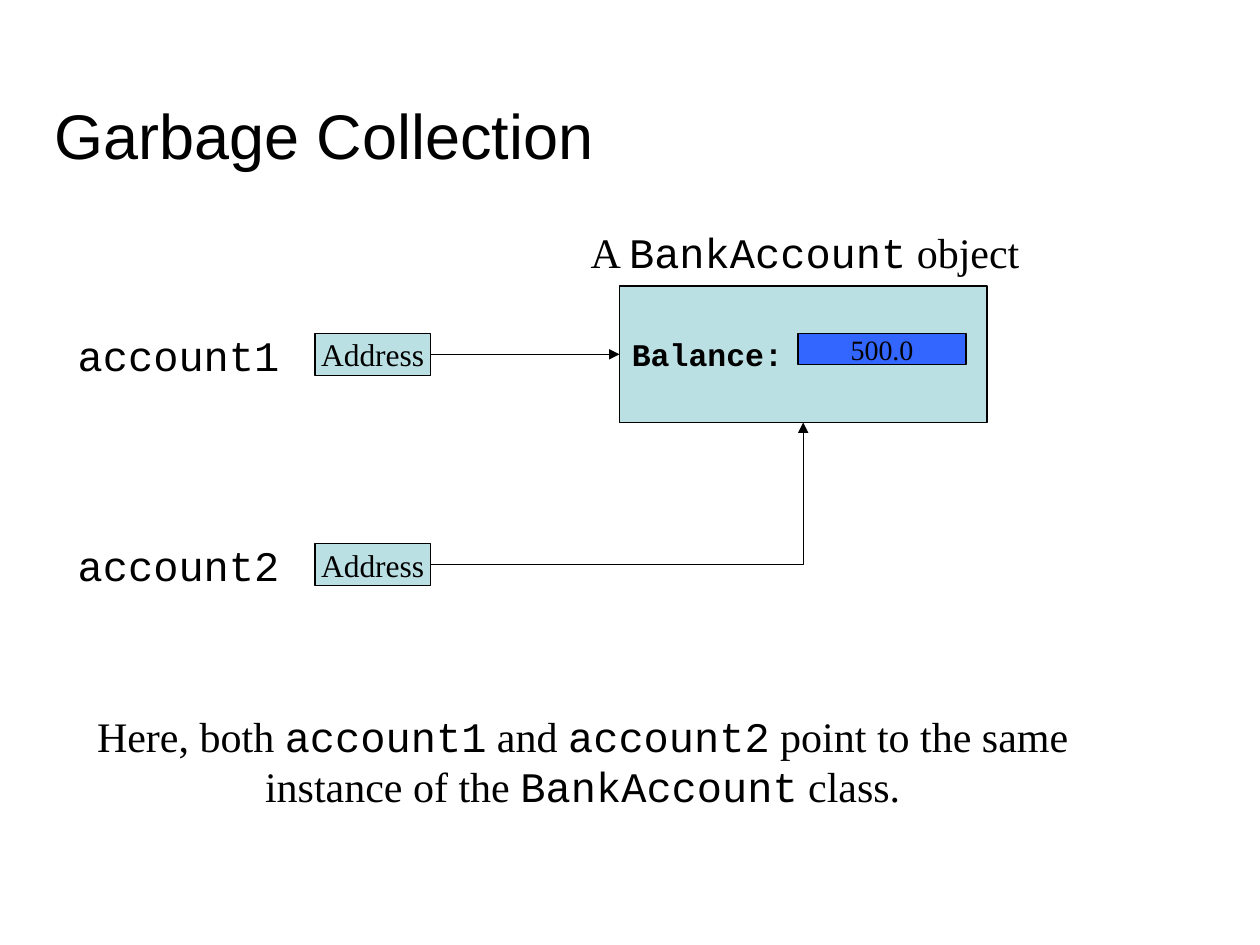
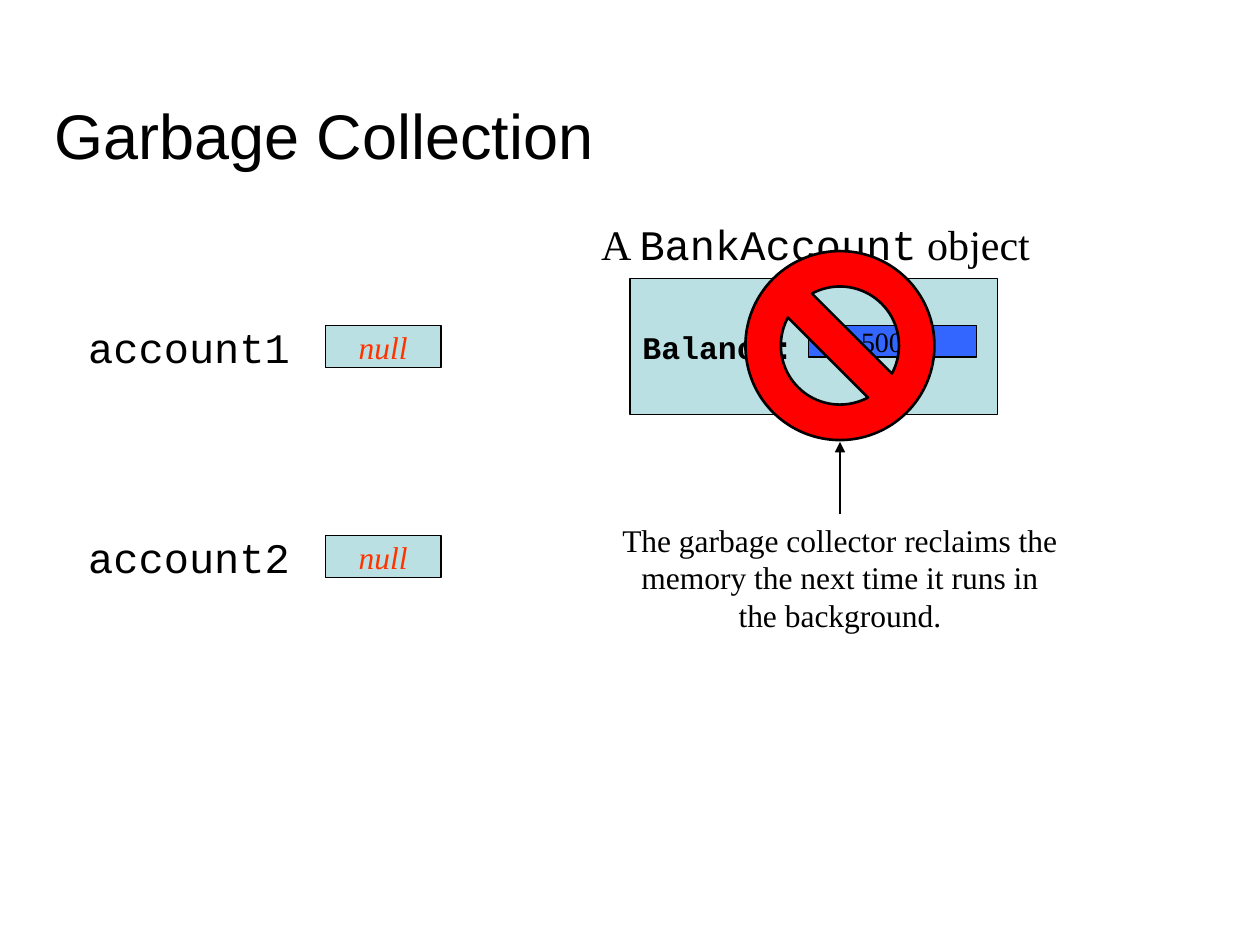
from dataclasses import dataclass
from lxml import etree
from pptx import Presentation
from pptx.dml.color import RGBColor
from pptx.enum import shapes, text
from pptx.oxml import ns
from pptx.util import Pt


@dataclass(frozen=True)
class Theme:
    ink: str = "000000"
    pale: str = "BBE0E3"
    blue: str = "3366FF"
    red: str = "FF0000"
    alert: str = "FF3300"
    head: str = "Arial"
    body: str = "Times New Roman"
    code: str = "Courier New"
    title: int = 36
    large: int = 24
    mid: int = 18
    small: int = 16
    thin: float = 0.75
    thick: float = 1.5


T = Theme()
LEFT, MID = text.PP_ALIGN.LEFT, text.PP_ALIGN.CENTER
RECT = shapes.MSO_SHAPE.RECTANGLE
GAP = 120  # between the two account rows


def run(words, font=T.body, size=T.large, color=T.ink, **style):
    return words, font, size, color, style


def code(words):
    return run(words, T.code)


def write(shape, lines, align=MID, anchor=text.MSO_ANCHOR.TOP, wrap=True):
    """Fill a shape with lines, each a list of runs."""
    frame = shape.text_frame
    frame.word_wrap, frame.vertical_anchor = wrap, anchor
    for i, line in enumerate(lines):
        para = frame.add_paragraph() if i else frame.paragraphs[0]
        para.alignment = align
        for words, font, size, color, style in line:
            part = para.add_run()
            part.text = words
            part.font.name, part.font.size = font, Pt(size)
            part.font.color.rgb = RGBColor.from_string(color)
            part.font.bold = style.get("bold", False)
            part.font.italic = style.get("italic", False)


def note(slide, area, lines, **opts):
    box = slide.shapes.add_textbox(*map(Pt, area))
    write(box, lines, **opts)
    return box


def block(slide, area, fill, words=None, align=MID, wrap=False,
          kind=RECT, width=T.thin):
    shape = slide.shapes.add_shape(kind, *map(Pt, area))
    shape.shadow.inherit = False
    shape.fill.solid()
    shape.fill.fore_color.rgb = RGBColor.from_string(fill)
    shape.line.color.rgb = RGBColor.from_string(T.ink)
    shape.line.width = Pt(width)
    if words:
        write(shape, [[words]], align, text.MSO_ANCHOR.MIDDLE, wrap)
    return shape


def arrow(slide, start, end, bent=False):
    kind = shapes.MSO_CONNECTOR.ELBOW if bent else shapes.MSO_CONNECTOR.STRAIGHT
    link = slide.shapes.add_connector(kind, *map(Pt, start + end))
    link.line.color.rgb = RGBColor.from_string(T.ink)
    link.line.width = Pt(T.thin)
    props = link.element.spPr
    if bent:
        props.find(ns.qn("a:prstGeom")).set("prst", "bentConnector2")
    etree.SubElement(props.find(ns.qn("a:ln")), ns.qn("a:tailEnd"), type="triangle")
    etree.SubElement(props, ns.qn("a:effectLst"))
    return link


def start(deck):
    slide = deck.slides.add_slide(deck.slide_layouts[6])
    note(slide, (24, 24, 678, 78),
         [[run("Garbage Collection", T.head, T.title)]],
         align=LEFT, anchor=text.MSO_ANCHOR.BOTTOM)
    return slide


def scene(slide, value, dx=0, dy=0):
    """Draw both accounts and the object; return the cells and the object."""
    note(slide, (330 + dx, 126 + dy, 260, 36),
         [[run("A "), code("BankAccount"), run(" object")]], wrap=False)
    item = block(slide, (354 + dx, 163.5 + dy, 210, 78), T.pale,
                 run("Balance:", T.code, T.mid, bold=True), LEFT, True)
    block(slide, (456 + dx, 190.5 + dy, 96, 18), T.blue,
          run("500.0", size=T.small))
    cells = []
    for i, name in enumerate(("account1", "account2")):
        top = dy + i * GAP
        note(slide, (36 + dx, 184.5 + top, 132, 36), [[code(name)]])
        cells.append(block(slide, (180 + dx, 190.5 + top, 66, 24), T.pale, value))
    return cells, item


def shared(deck):
    slide = start(deck)
    cells, item = scene(slide, run("Address", size=T.mid))
    ends = (((354, 202.5), 1), ((459, 241.5), 2))
    for i, (cell, (end, side)) in enumerate(zip(cells, ends)):
        link = arrow(slide, (246, 202.5 + i * GAP), end, bent=i == 1)
        link.begin_connect(cell, 3)
        link.end_connect(item, side)
    note(slide, (48, 402.5, 570, 65), [
        [run("Here, both "), code("account1"), run(" and "),
         code("account2"), run(" point to the same")],
        [run("instance of the "), code("BankAccount"), run(" class.")],
    ], wrap=False)


def freed(deck):
    slide = start(deck)
    scene(slide, run("null", size=T.mid, color=T.alert, italic=True), 6, -4.5)
    block(slide, (426, 143.5, 108, 108), T.red,
          kind=shapes.MSO_SHAPE.NO_SYMBOL, width=T.thick)
    words = ("The garbage collector reclaims the memory the next time "
             "it runs in the background.")
    hint = note(slide, (348, 294, 264, 72), [[run(words, size=T.mid)]])
    arrow(slide, (480, 294), (480, 252.5)).begin_connect(hint, 0)


def main():
    deck = Presentation()
    deck.slide_width, deck.slide_height = Pt(720), Pt(540)
    shared(deck)
    freed(deck)
    deck.save("out.pptx")


if __name__ == "__main__":
    main()
